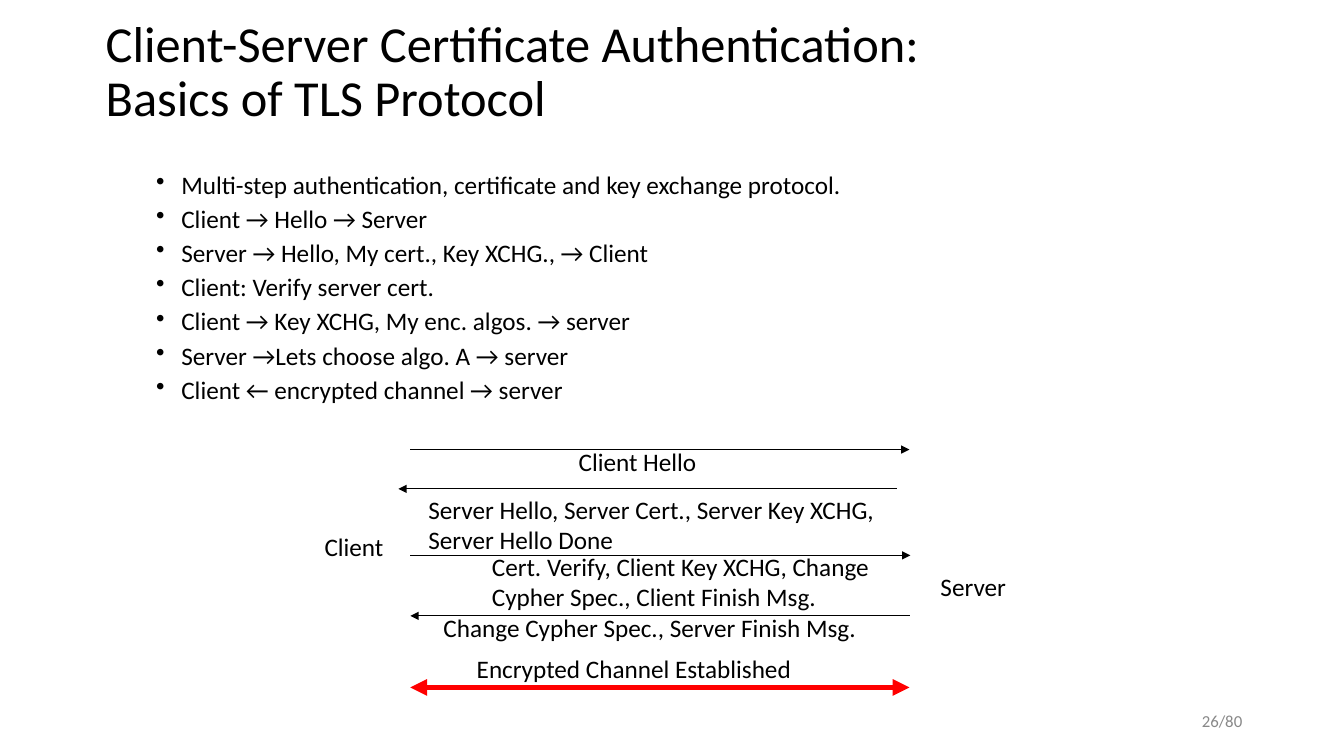
from dataclasses import dataclass

from lxml import etree
from pptx import Presentation
from pptx import util as u
from pptx.dml.color import RGBColor
from pptx.enum import shapes, text
from pptx.oxml.ns import qn
from pptx.shapes.connector import Connector
from pptx.slide import Slide
from pptx.text.text import TextFrame

PX = 9144  # EMU in one px, at 100 px to the inch
SLIDE_WIDTH, SLIDE_HEIGHT = 1333, 750
FONT = "Calibri"
COLORS = {"ink": "000000", "channel": "FF0000", "page": "888888"}


@dataclass(frozen=True)
class Label:
    left: int
    top: int
    width: int
    height: int
    lines: tuple[str, ...]
    size: int = 18
    color: str = "ink"
    anchor: text.MSO_ANCHOR = text.MSO_ANCHOR.TOP
    align: text.PP_ALIGN = text.PP_ALIGN.LEFT
    line_spacing: float = 1.0
    bulleted: bool = False


@dataclass(frozen=True)
class Arrow:
    left: int
    right: int
    y: int
    to_client: bool = False
    to_server: bool = False
    width: float = 0.75
    color: str = "ink"


TITLE = Label(
    95, 0, SLIDE_WIDTH - 95, 145,
    ("Client-Server Certificate Authentication:", "Basics of TLS Protocol"),
    size=36, anchor=text.MSO_ANCHOR.MIDDLE, line_spacing=0.9,
)
STEPS = Label(
    95, 166, 1168, SLIDE_HEIGHT - 166,
    (
        "Multi-step authentication, certificate and key exchange protocol.",
        "Client → Hello → Server",
        "Server → Hello, My cert., Key XCHG., → Client",
        "Client: Verify server cert.",
        "Client → Key XCHG, My enc. algos. → server",
        "Server →Lets choose algo. A → server",
        "Client ← encrypted channel → server",
    ),
    line_spacing=0.9, bulleted=True,
)
PARTIES = (
    Label(312, 522, 79, 40, ("Client",)),
    Label(923, 562, 86, 40, ("Server",)),
)
# Each handshake message is an arrow with its label
MESSAGES = (
    (Arrow(407, 902, 446, to_server=True),
     Label(564, 438, 138, 40, ("Client Hello",))),
    (Arrow(395, 890, 485, to_client=True),
     Label(415, 485, 498, 71,
           ("Server Hello, Server Cert., Server Key XCHG, Server Hello Done",))),
    (Arrow(407, 903, 551, to_server=True),
     Label(478, 542, 401, 101,
           ("Cert. Verify, Client Key XCHG, Change Cypher Spec., Client Finish Msg.",))),
    (Arrow(407, 903, 611, to_client=True),
     Label(430, 603, 456, 71, ("Change Cypher Spec., Server Finish Msg.",))),
    (Arrow(407, 902, 682, to_client=True, to_server=True, width=4, color="channel"),
     Label(463, 643, 456, 40, ("Encrypted Channel Established",))),
)
PAGE_NUMBER = Label(
    942, 695, 300, 40, ("26/80",), size=12, color="page",
    anchor=text.MSO_ANCHOR.MIDDLE, align=text.PP_ALIGN.RIGHT,
)


def rgb(name: str) -> RGBColor:
    return RGBColor.from_string(COLORS[name])


def add_bullets(frame: TextFrame) -> None:
    for index, paragraph in enumerate(frame.paragraphs):
        paragraph.level = 1
        properties = paragraph._p.get_or_add_pPr()
        properties.set("marL", str(75 * PX))
        properties.set("indent", str(-25 * PX))
        etree.SubElement(properties, qn("a:buChar")).set("char", "•")
        if index:
            paragraph.space_before = u.Pt(5)


def add_label(slide: Slide, label: Label) -> None:
    shape = slide.shapes.add_textbox(
        label.left * PX, label.top * PX, label.width * PX, label.height * PX)
    frame = shape.text_frame
    frame.word_wrap = True
    frame.vertical_anchor = label.anchor
    frame.text = "\n".join(label.lines)
    if label.bulleted:
        add_bullets(frame)
    for paragraph in frame.paragraphs:
        paragraph.alignment = label.align
        paragraph.line_spacing = label.line_spacing
        paragraph.font.name = FONT
        paragraph.font.size = u.Pt(label.size)
        paragraph.font.color.rgb = rgb(label.color)


def add_arrow(slide: Slide, arrow: Arrow) -> Connector:
    connector = slide.shapes.add_connector(
        shapes.MSO_CONNECTOR.STRAIGHT,
        arrow.left * PX, arrow.y * PX, arrow.right * PX, arrow.y * PX)
    connector.line.width = u.Pt(arrow.width)
    connector.line.color.rgb = rgb(arrow.color)
    line = connector.line._get_or_add_ln()
    for tag, shown in (("a:headEnd", arrow.to_client), ("a:tailEnd", arrow.to_server)):
        if shown:
            etree.SubElement(line, qn(tag)).set("type", "triangle")
    etree.SubElement(connector._element.spPr, qn("a:effectLst"))
    return connector


def main() -> None:
    presentation = Presentation()
    presentation.slide_width = SLIDE_WIDTH * PX
    presentation.slide_height = SLIDE_HEIGHT * PX
    slide = presentation.slides.add_slide(presentation.slide_layouts[6])

    # Title and protocol steps
    for label in (TITLE, STEPS):
        add_label(slide, label)

    # Handshake diagram
    for party in PARTIES:
        add_label(slide, party)
    for arrow, label in MESSAGES:
        add_arrow(slide, arrow)
        add_label(slide, label)

    # Footer
    add_label(slide, PAGE_NUMBER)
    presentation.save("out.pptx")


if __name__ == "__main__":
    main()
